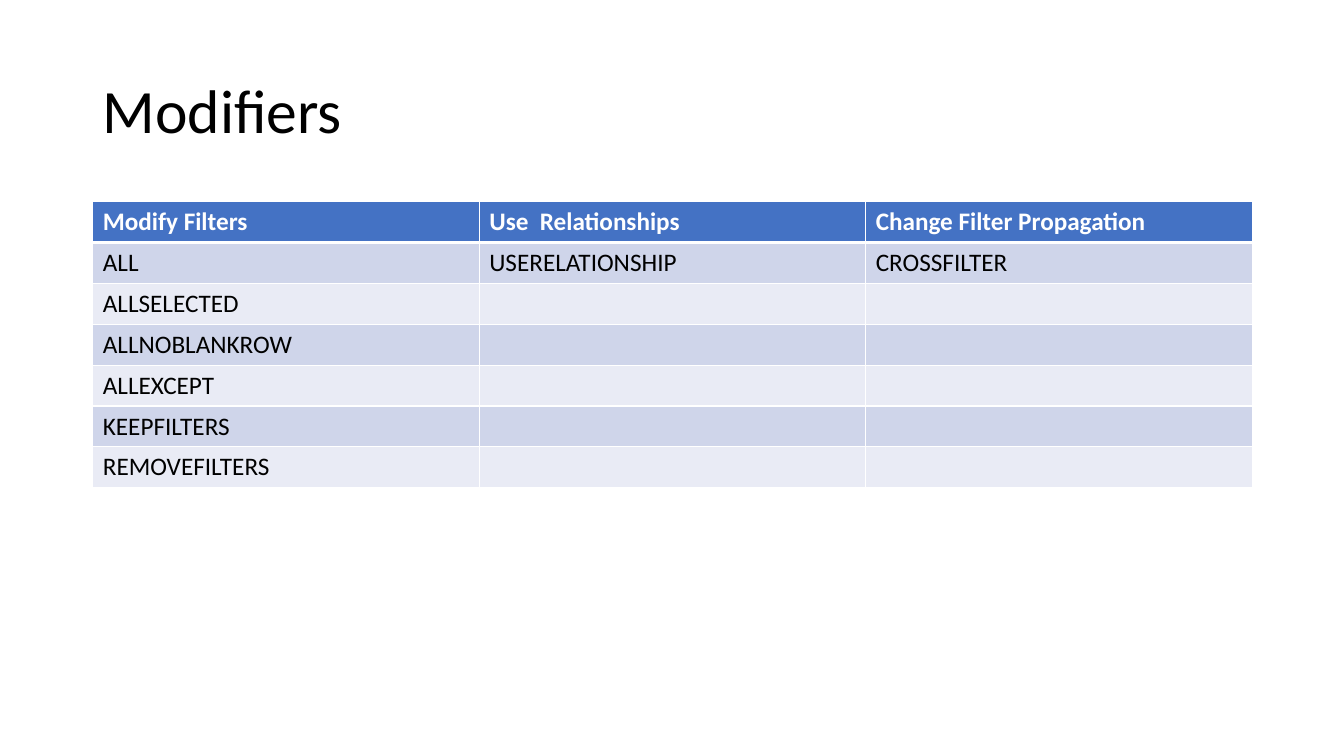
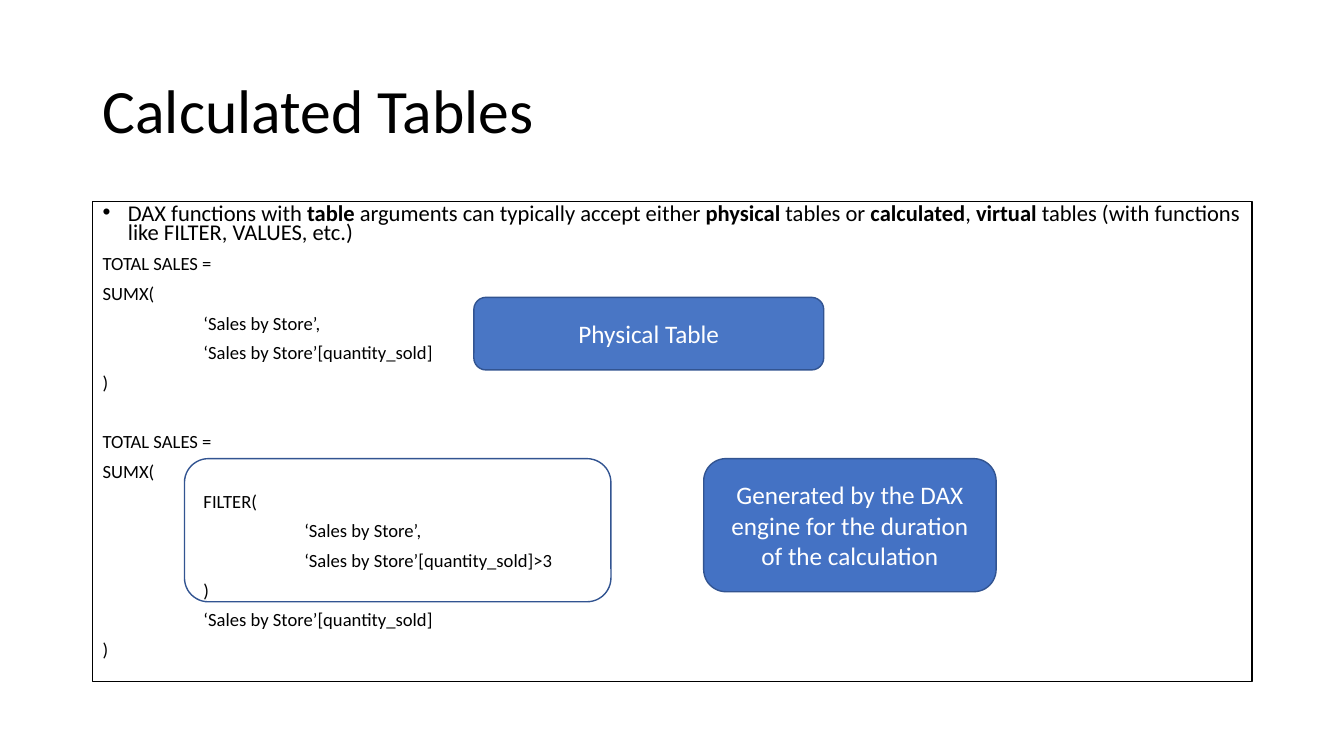
from pptx import Presentation
from pptx import util as u
from pptx.dml import color
from pptx.enum import shapes, text
from pptx.oxml import ns, xmlchemy

FONT = "Calibri"
BLACK, WHITE, BLUE, EDGE = "000000", "FFFFFF", "4472C4", "325491"
BANDS = ("CFD5EA", "E9EBF5")
LEFT, TOP, WIDTH = 0.92, 2, 11.5

MODIFIERS = [
    ("Modify Filters", "Use  Relationships", "Change Filter Propagation"),
    ("ALL", "USERELATIONSHIP", "CROSSFILTER"),
    ("ALLSELECTED", "", ""),
    ("ALLNOBLANKROW", "", ""),
    ("ALLEXCEPT", "", ""),
    ("KEEPFILTERS", "", ""),
    ("REMOVEFILTERS", "", ""),
]

# (text, bold)
INTRO = [
    ("DAX functions with ", False), ("table", True),
    (" arguments can typically accept either ", False), ("physical", True),
    (" tables or ", False), ("calculated", True), (", ", False),
    ("virtual", True),
    (" tables (with functions like FILTER, VALUES, etc.)", False),
]

# Each formula is a list of (indent level, text)
FORMULAS = [
    [(0, "TOTAL SALES ="), (0, "SUMX("), (1, "‘Sales by Store’,"),
     (1, "‘Sales by Store’[quantity_sold]"), (0, ")")],
    [(0, "TOTAL SALES ="), (0, "SUMX("), (1, "FILTER("),
     (2, "‘Sales by Store’,"), (2, "‘Sales by Store’[quantity_sold]>3"),
     (1, ")"), (1, "‘Sales by Store’[quantity_sold]"), (0, ")")],
]

# (place, fill, opacity in percent, text)
CALLOUTS = [
    ((1.83, 4.55, 4.23, 1.42), None, 100, ""),
    ((6.98, 4.55, 2.9, 1.32), BLUE, 100,
     "Generated by the DAX engine for the duration of the calculation"),
    ((4.7, 2.95, 3.47, 0.72), BLUE, 97, "Physical Table"),
]


def rgb(value):
    return color.RGBColor.from_string(value)


def inches(values):
    return [u.Inches(value) for value in values]


def set_all(target, values):
    for name, value in values.items():
        setattr(target, name, value)


def add_element(parent, tag, **attributes):
    element = xmlchemy.OxmlElement(tag)
    for name, value in attributes.items():
        element.set(name, str(value))
    parent.append(element)
    return element


def add_span(para, words, size, colour=BLACK, bold=False):
    span = para.add_run()
    span.text = words
    set_all(span.font, {"name": FONT, "size": u.Pt(size), "bold": bold})
    span.font.color.rgb = rgb(colour)


def indent(para, left, first=0):
    properties = para._p.get_or_add_pPr()
    properties.set("marL", str(u.Inches(left)))
    properties.set("indent", str(u.Inches(first)))
    return properties


def add_page(deck, title):
    """Add a blank page with the shared title style."""
    page = deck.slides.add_slide(deck.slide_layouts[6])
    box = page.shapes.add_textbox(*inches((LEFT, 0.4, WIDTH, 1.45)))
    set_all(box.text_frame, {"word_wrap": True,
                             "vertical_anchor": text.MSO_ANCHOR.MIDDLE})
    para = box.text_frame.paragraphs[0]
    para.line_spacing = 0.9
    add_span(para, title, 44)
    return page


def add_box(page, kind, place, fill, edge):
    box = page.shapes.add_shape(kind, *inches(place))
    box.shadow.inherit = False
    if fill:
        box.fill.solid()
        box.fill.fore_color.rgb = rgb(fill)
    else:
        box.fill.background()
    box.line.color.rgb = rgb(edge)
    box.line.width = u.Pt(1)
    box.text_frame.word_wrap = True
    return box


def style_cell(cell, fill, bottom):
    """Fill the cell and give it white borders, the bottom one in points."""
    cell.fill.solid()
    cell.fill.fore_color.rgb = rgb(fill)
    properties = cell._tc.get_or_add_tcPr()
    widths = {"a:lnL": 1, "a:lnR": 1, "a:lnT": 1, "a:lnB": bottom}
    for index, (tag, width) in enumerate(widths.items()):
        border = add_element(properties, tag, w=u.Pt(width))
        add_element(add_element(border, "a:solidFill"), "a:srgbClr", val=WHITE)
        properties.insert(index, border)


def add_modifier_table(page):
    rows, columns = len(MODIFIERS), len(MODIFIERS[0])
    frame = page.shapes.add_table(
        rows, columns, *inches((LEFT, TOP, WIDTH, 2.84)))
    for row, words in enumerate(MODIFIERS):
        header = row == 0
        fill = BLUE if header else BANDS[(row - 1) % 2]
        for column, word in enumerate(words):
            cell = frame.table.cell(row, column)
            style_cell(cell, fill, bottom=3 if header else 1)
            if word:
                add_span(cell.text_frame.paragraphs[0], word, 18,
                         WHITE if header else BLACK, header)


def add_formula_panel(page):
    panel = add_box(page, shapes.MSO_SHAPE.RECTANGLE,
                    (LEFT, TOP, WIDTH, 4.76), WHITE, BLACK)
    frame = panel.text_frame
    frame.vertical_anchor = text.MSO_ANCHOR.TOP
    layout = {"alignment": text.PP_ALIGN.LEFT, "line_spacing": 0.7,
              "space_before": u.Pt(10)}

    intro = frame.paragraphs[0]
    set_all(intro, layout)
    bullet = indent(intro, 0.25, -0.25)
    add_element(bullet, "a:buFont", typeface="Arial")
    add_element(bullet, "a:buChar", char="•")
    for words, bold in INTRO:
        add_span(intro, words, 16.1, bold=bold)

    for number, formula in enumerate(FORMULAS):
        for line, (level, words) in enumerate(formula):
            para = frame.add_paragraph()
            set_all(para, layout)
            if number and line == 0:
                para.space_before = u.Pt(31.3)
            indent(para, level)
            add_span(para, words, 13.3)


def add_callout(page, place, fill, opacity, words):
    box = add_box(page, shapes.MSO_SHAPE.ROUNDED_RECTANGLE, place, fill, EDGE)
    if opacity < 100:
        tint = box._element.spPr.find(ns.qn("a:solidFill"))[0]
        add_element(tint, "a:alpha", val=opacity * 1000)
    if words:
        box.text_frame.vertical_anchor = text.MSO_ANCHOR.MIDDLE
        para = box.text_frame.paragraphs[0]
        para.alignment = text.PP_ALIGN.CENTER
        add_span(para, words, 18, WHITE)


def main():
    deck = Presentation()
    set_all(deck, {"slide_width": u.Inches(13.33),
                   "slide_height": u.Inches(7.5)})
    add_modifier_table(add_page(deck, "Modifiers"))
    page = add_page(deck, "Calculated Tables")
    add_formula_panel(page)
    for callout in CALLOUTS:
        add_callout(page, *callout)
    deck.save("out.pptx")


if __name__ == "__main__":
    main()
